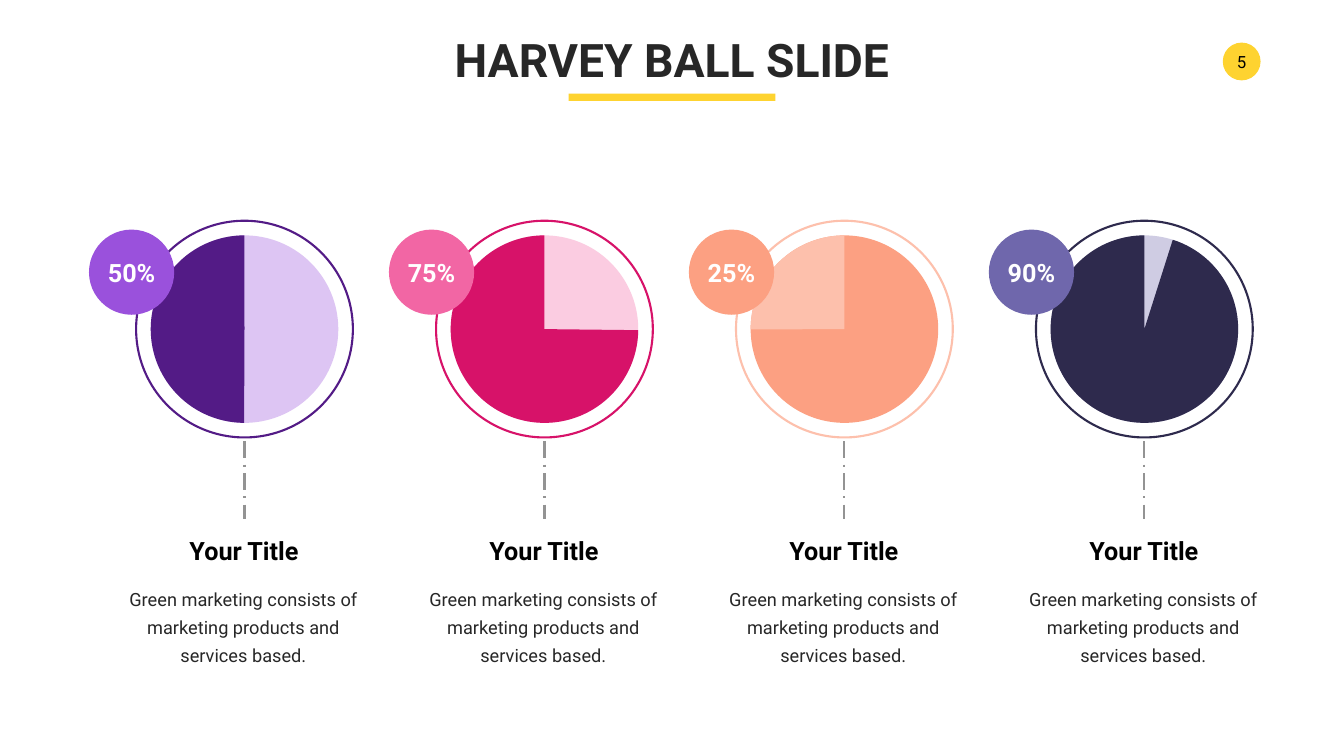
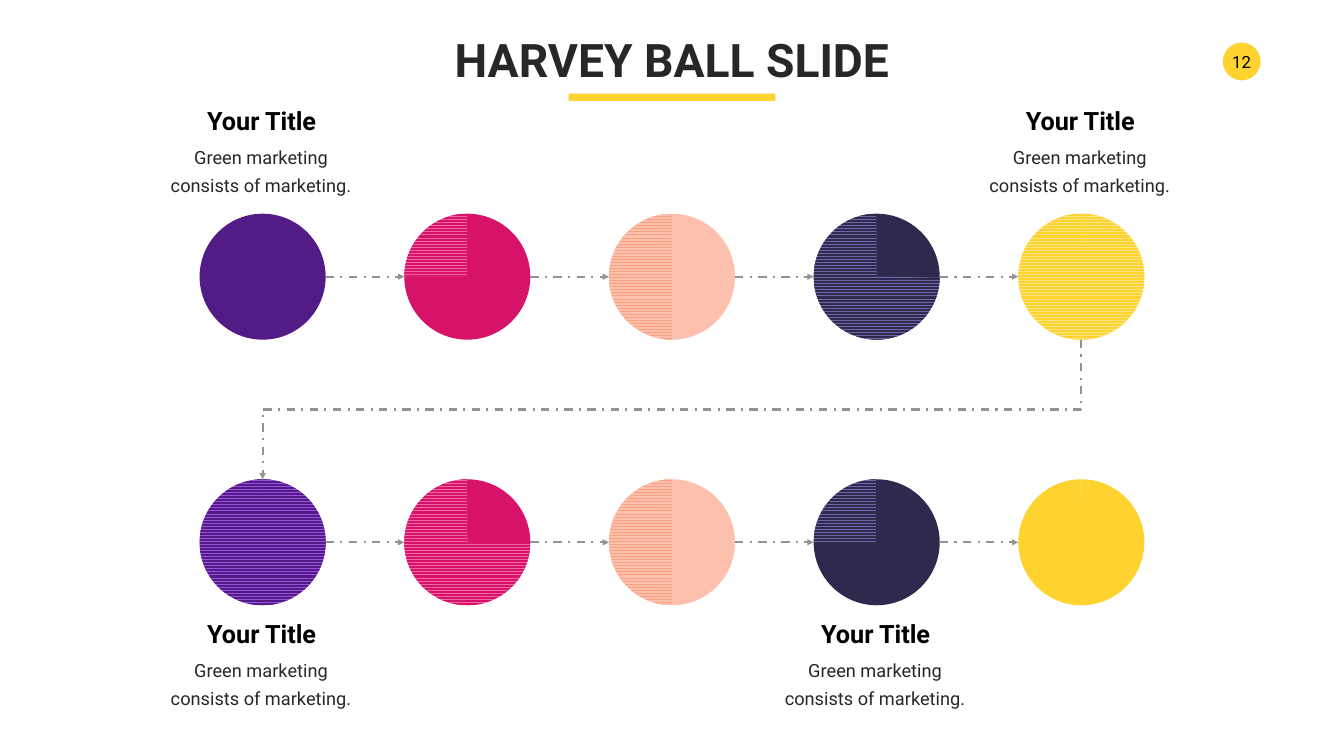
"""Build two Harvey ball slides: four percentage balls and a ten-step flow."""
from lxml import etree
from pptx import Presentation
from pptx.dml.color import RGBColor
from pptx.enum.dml import MSO_LINE as DASH, MSO_PATTERN as PATTERN
from pptx.enum.shapes import MSO_CONNECTOR as LINK, MSO_SHAPE as SHAPE
from pptx.enum.text import MSO_ANCHOR as ANCHOR, MSO_AUTO_SIZE as AUTO, PP_ALIGN as ALIGN
from pptx.oxml.ns import qn
from pptx.util import Inches, Pt

FONT = "Roboto"
WIDTH, HEIGHT = 26.66, 15
YELLOW, INK, BLACK, WHITE, GREY = "FED330", "272727", "000000", "FFFFFF", "939393"
PURPLE, PINK, PEACH, NAVY = "531B86", "D71269", "FDC0AC", "2E2A4D"
VIOLET, ROSE, CORAL, SLATE, CREAM = "9A51DC", "F266A4", "FCA082", "6F67AC", "FEE583"

HEADING = "HARVEY BALL SLIDE"
CAPTION = "Your Title"
DETAIL = "Green marketing consists of marketing products and services based."
STEP_DETAIL = "Green marketing consists of marketing."

# label, ring, ball, wedge, badge, wedge start in degrees
PERCENTAGES = [
    ("50%", PURPLE, "DDC5F3", PURPLE, VIOLET, 90.25),
    ("75%", PINK, "FBCCE1", PINK, ROSE, 0.64),
    ("25%", PEACH, CORAL, PEACH, CORAL, 179.81),
    ("90%", NAVY, "CFCCE3", NAVY, SLATE, 287.63),
]
PERCENT_END = 269.95
FIRST_BALL, BALL_PITCH, BALL_MIDDLE = 4.85, 5.95, 6.53

STEP_COLOURS = [(PURPLE, VIOLET), (PINK, ROSE), (PEACH, CORAL), (NAVY, SLATE), (YELLOW, CREAM)]
# middle, wedge angles in degrees, caption top, captioned columns
STEP_ROWS = [
    (5.49, [(269.51, 269.56), (180.28, 269.56), (90.43, 269.56), (0.92, 269.56),
            (269.3, 268.57)], 2.04, (0, 4)),
    (10.76, [(269.94, 269.56), (359.75, 269.56), (90.43, 269.56), (180.28, 269.56),
             (269.22, 269.56)], 12.22, (0, 3)),
]
FIRST_STEP, STEP_PITCH, STEP_SIZE = 5.21, 4.06, 2.5


def rgb(colour):
    return RGBColor.from_string(colour)


def add_figure(slide, preset, centre, middle, width, height, fill=None, outline=None):
    figure = slide.shapes.add_shape(preset, Inches(centre - width / 2),
                                    Inches(middle - height / 2), Inches(width), Inches(height))
    figure.shadow.inherit = False
    if fill:
        figure.fill.solid()
        figure.fill.fore_color.rgb = rgb(fill)
    else:
        figure.fill.background()
    if outline:
        figure.line.color.rgb = rgb(outline)
        figure.line.width = Pt(3)
    else:
        figure.line.fill.background()
    return figure


def add_disc(slide, centre, middle, size, fill=None, outline=None):
    return add_figure(slide, SHAPE.OVAL, centre, middle, size, size, fill, outline)


def add_wedge(slide, centre, middle, size, fill, start, end):
    wedge = add_figure(slide, SHAPE.PIE, centre, middle, size, size, fill)
    wedge.adjustments[0] = start * 0.6
    wedge.adjustments[1] = end * 0.6
    return wedge


def write(frame, words, size, colour, bold=False):
    frame.text = words
    paragraph = frame.paragraphs[0]
    paragraph.alignment = ALIGN.CENTER
    font = paragraph.runs[0].font
    font.name, font.size, font.bold = FONT, Pt(size), bold
    font.color.rgb = rgb(colour)
    return paragraph


def add_words(slide, words, centre, top, width, height, size, colour, bold=True, wrap=False):
    box = slide.shapes.add_textbox(Inches(centre - width / 2), Inches(top),
                                   Inches(width), Inches(height))
    frame = box.text_frame
    frame.word_wrap = wrap
    frame.auto_size = AUTO.SHAPE_TO_FIT_TEXT
    paragraph = write(frame, words, size, colour, bold)
    if wrap:
        paragraph.line_spacing = Pt(40)
    return frame


def add_caption(slide, centre, top, gap, detail, width, height):
    add_words(slide, CAPTION, centre, top, 2.4, 0.71, 36, BLACK)
    add_words(slide, detail, centre - 0.01, top + gap, width, height, 26, INK, False, True)


def add_link(slide, kind, start, end, dash, arrow=True):
    link = slide.shapes.add_connector(kind, *map(Inches, start + end))
    link.line.color.rgb = rgb(GREY)
    link.line.width = Pt(3)
    link.line.dash_style = dash
    properties = link._element.spPr
    if arrow:
        etree.SubElement(properties.find(qn("a:ln")), qn("a:tailEnd"), type="triangle")
    etree.SubElement(properties, qn("a:effectLst"))
    return link


def add_turn(slide, start, end, dash):
    centre, middle = (start[0] + end[0]) / 2, (start[1] + end[1]) / 2
    drop, span = end[1] - start[1], start[0] - end[0]
    turn = add_link(slide, LINK.ELBOW, (centre - drop / 2, middle - span / 2),
                    (centre + drop / 2, middle + span / 2), dash)
    turn._element.spPr.find(qn("a:xfrm")).set("rot", str(90 * 60000))


def add_page(deck, number):
    slide = deck.slides.add_slide(deck.slide_layouts[6])
    frame = add_disc(slide, 24.63, 1.22, 0.75, YELLOW).text_frame
    frame.margin_left = frame.margin_right = frame.margin_top = frame.margin_bottom = Inches(0.05)
    frame.vertical_anchor = ANCHOR.MIDDLE
    frame.word_wrap = False
    write(frame, number, 24, BLACK)
    add_words(slide, HEADING, WIDTH / 2, 0.57, 8.91, 1.21, 66, INK)
    add_figure(slide, SHAPE.RECTANGLE, WIDTH / 2, 1.93, 4.1, 0.14, YELLOW)
    return slide


def build_percentages(deck):
    slide = add_page(deck, "5")
    for column, (label, ring, ball, wedge, badge, start) in enumerate(PERCENTAGES):
        centre = FIRST_BALL + column * BALL_PITCH
        add_disc(slide, centre, BALL_MIDDLE, 4.3, outline=ring)
        add_disc(slide, centre, BALL_MIDDLE, 3.72, ball)
        add_wedge(slide, centre, BALL_MIDDLE, 3.72, wedge, start, PERCENT_END)
        add_disc(slide, centre - 2.24, 5.4, 1.69, badge)
        frame = add_words(slide, label, centre - 2.24, 5.05, 1.15, 0.71, 36, WHITE)
        frame.vertical_anchor = ANCHOR.MIDDLE
        add_link(slide, LINK.STRAIGHT, (centre, 8.76), (centre, 10.29),
                 DASH.LONG_DASH_DOT, arrow=False)
        add_caption(slide, centre - 0.01, 10.58, 0.93, DETAIL, 5.3, 1.73)


def build_steps(deck):
    slide = add_page(deck, "12")
    centres = [FIRST_STEP + column * STEP_PITCH for column in range(len(STEP_COLOURS))]
    radius = STEP_SIZE / 2
    for middle, wedges, caption_top, captioned in STEP_ROWS:
        for centre, (base, stripe), angles in zip(centres, STEP_COLOURS, wedges):
            add_disc(slide, centre, middle, STEP_SIZE, base)
            fill = add_wedge(slide, centre, middle, STEP_SIZE, base, *angles).fill
            fill.patterned()
            fill.pattern = PATTERN.ZIG_ZAG
            fill.fore_color.rgb = rgb(base)
            fill.back_color.rgb = rgb(stripe)
        for left, right in zip(centres, centres[1:]):
            add_link(slide, LINK.STRAIGHT, (left + radius, middle), (right - radius, middle),
                     DASH.DASH_DOT)
        for column in captioned:
            add_caption(slide, centres[column] - 0.02, caption_top, 0.69, STEP_DETAIL, 3.83, 1.17)
    upper, lower = (row[0] for row in STEP_ROWS)
    add_turn(slide, (centres[-1], upper + radius), (centres[0], lower - radius), DASH.DASH_DOT)


def main():
    deck = Presentation()
    deck.slide_width, deck.slide_height = Inches(WIDTH), Inches(HEIGHT)
    build_percentages(deck)
    build_steps(deck)
    deck.save("out.pptx")


if __name__ == "__main__":
    main()
